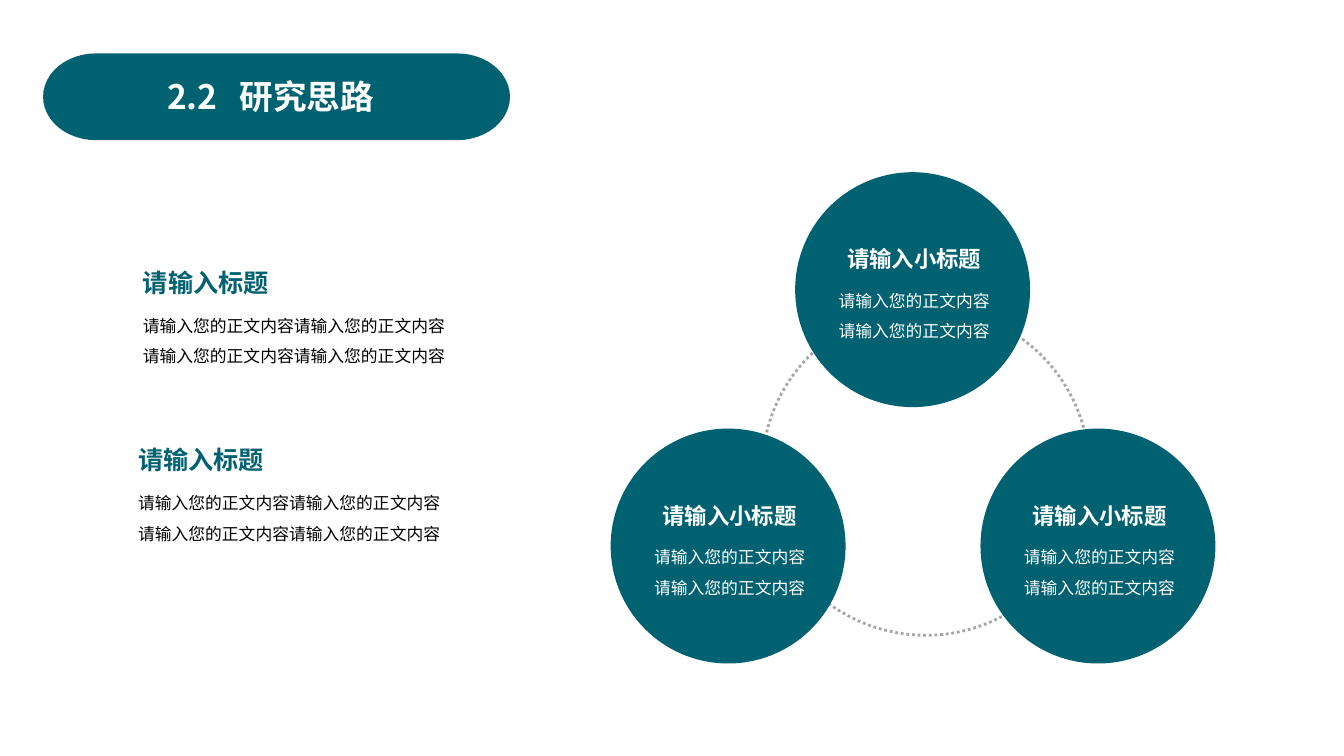
"""Build the research approach slide: a banner, two text blocks and a ring of three circles."""
from dataclasses import dataclass
from math import cos, pi, sin

from lxml.etree import SubElement
from pptx import Presentation
from pptx.dml.color import RGBColor
from pptx.enum.dml import MSO_LINE
from pptx.enum.shapes import MSO_SHAPE
from pptx.enum.text import MSO_AUTO_SIZE as AutoSize
from pptx.enum.text import PP_ALIGN as Align
from pptx.oxml.ns import qn
from pptx.util import Cm, Pt

COLORS = {"teal": "006171", "white": "FFFFFF", "black": "000000", "grey": "A6A6A6"}
FONT = "Noto Sans CJK SC"
CIRCLE_SIZE = 5.92
RING = (19.2, 7.75, 8.26)
BANNER = (1.14, 1.4, 11.66, 2.08)
BANNER_END = 1.28
ARC_STEPS = 24


@dataclass(frozen=True)
class Topic:
    left: float
    top: float
    heading: str
    line: str


BLOCKS = [
    Topic(left, top, "请输入标题", "请输入您的正文内容请输入您的正文内容")
    for left, top in ((3.35, 6.22), (3.23, 10.69))
]
CIRCLES = [
    Topic(left, top, "请输入小标题", "请输入您的正文内容")
    for left, top in ((15.39, 10.8), (20.04, 4.34), (24.71, 10.8))
]


def color(name: str) -> RGBColor:
    return RGBColor.from_string(COLORS[name])


def add_text(para, text: str, *, size: float, fill: str, bold: bool = False,
             align=Align.LEFT, spacing: float = 1.0, after: float = 0) -> None:
    para.alignment = align
    para.line_spacing = spacing
    para.space_after = Pt(after)
    span = para.add_run()
    span.text = text
    span.font.size = Pt(size)
    span.font.bold = bold
    span.font.name = FONT
    span.font.color.rgb = color(fill)
    SubElement(span.font._element, qn("a:ea"), typeface=FONT)


def add_box(slide, left: float, top: float, width: float, height: float):
    box = slide.shapes.add_textbox(Cm(left), Cm(top), Cm(width), Cm(height))
    box.text_frame.word_wrap = True
    box.text_frame.auto_size = AutoSize.SHAPE_TO_FIT_TEXT
    return box.text_frame


def add_topic(frame, topic: Topic, *, size: float, heading_fill: str,
              line_fill: str, align=Align.LEFT) -> None:
    add_text(frame.paragraphs[0], topic.heading, size=size, fill=heading_fill,
             bold=True, align=align, spacing=1.5, after=6)
    for _ in range(2):
        add_text(frame.add_paragraph(), topic.line, size=12, fill=line_fill,
                 align=align, spacing=1.5)


def add_oval(shapes, left: float, top: float, size: float):
    oval = shapes.add_shape(MSO_SHAPE.OVAL, Cm(left), Cm(top), Cm(size), Cm(size))
    oval.shadow.inherit = False
    return oval


def add_banner(slide) -> None:
    left, top, width, height = BANNER
    middle = top + height / 2
    points = []
    for center, start in ((left + width - BANNER_END, -pi / 2), (left + BANNER_END, pi / 2)):
        for step in range(ARC_STEPS + 1):
            angle = start + pi * step / ARC_STEPS
            points.append((Cm(center + BANNER_END * cos(angle)),
                           Cm(middle + height / 2 * sin(angle))))
    builder = slide.shapes.build_freeform(*points[0])
    builder.add_line_segments(points[1:], close=True)
    banner = builder.convert_to_shape()
    banner.shadow.inherit = False
    banner.fill.solid()
    banner.fill.fore_color.rgb = color("teal")
    banner.line.color.rgb = color("teal")
    banner.line.width = Pt(3)

    para = add_box(slide, 3.96, 1.8, 6.1, 1.27).paragraphs[0]
    tabs = SubElement(para._p.get_or_add_pPr(), qn("a:tabLst"))
    SubElement(tabs, qn("a:tab"), pos=str(Cm(1.83)), algn="l")
    add_text(para, "2.2\t研究思路", size=24, fill="white", bold=True)


def add_circles(slide) -> None:
    group = slide.shapes.add_group_shape()
    ring = add_oval(group.shapes, *RING)
    ring.fill.background()
    ring.line.color.rgb = color("grey")
    ring.line.width = Pt(2)
    ring.line.dash_style = MSO_LINE.ROUND_DOT
    for topic in CIRCLES:
        circle = add_oval(group.shapes, topic.left, topic.top, CIRCLE_SIZE)
        circle.fill.solid()
        circle.fill.fore_color.rgb = color("teal")
        circle.line.fill.background()
    for topic in CIRCLES:
        frame = add_box(slide, topic.left + 0.41, topic.top + 1.38, 5.18, 3.02)
        add_topic(frame, topic, size=16, heading_fill="white", line_fill="white",
                  align=Align.CENTER)


def main() -> None:
    deck = Presentation()
    deck.slide_width, deck.slide_height = Cm(33.87), Cm(19.05)
    page = deck.slides.add_slide(deck.slide_layouts[6])
    add_circles(page)
    add_banner(page)
    for topic in BLOCKS:
        add_topic(add_box(page, topic.left, topic.top, 9.4, 3.18), topic, size=18,
                  heading_fill="teal", line_fill="black")
    deck.save("out.pptx")


if __name__ == "__main__":
    main()
